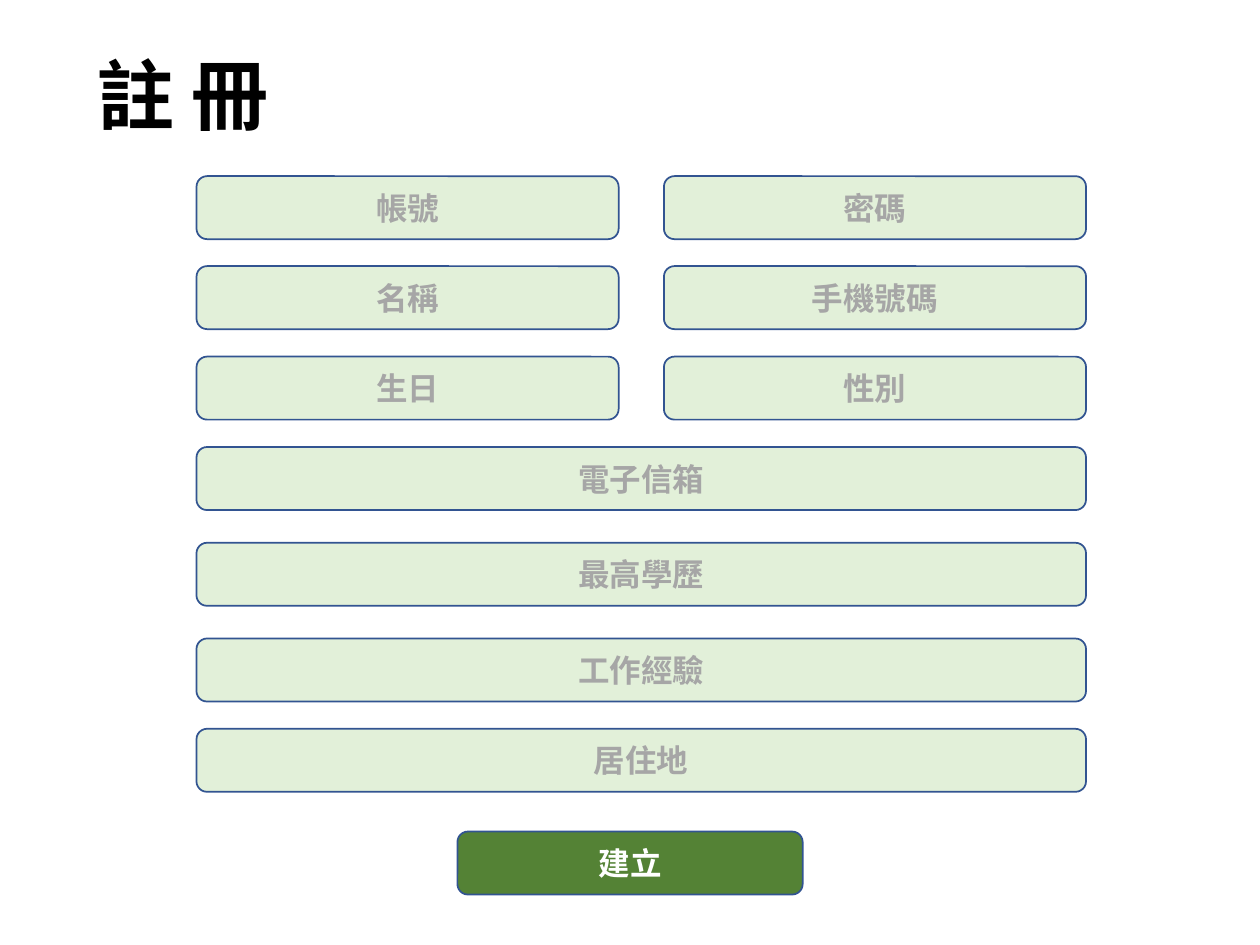
from dataclasses import dataclass

from lxml.etree import SubElement
from pptx import Presentation
from pptx.dml.color import RGBColor
from pptx.enum.shapes import MSO_SHAPE as Shape
from pptx.enum.text import MSO_ANCHOR as Anchor, MSO_AUTO_SIZE as AutoSize, PP_ALIGN as Align
from pptx.oxml.ns import qn
from pptx.slide import Slide
from pptx.text.text import TextFrame
from pptx.util import Pt


@dataclass(frozen=True)
class Theme:
    font: str = "Noto Sans CJK SC"
    title_size: float = 44
    body_size: float = 18
    white: str = "FFFFFF"
    black: str = "000000"
    field_fill: str = "E2F0D9"
    field_text: str = "A6A6A6"
    button_fill: str = "548235"
    outline: str = "325491"


@dataclass(frozen=True)
class Box:
    text: str
    left: float
    top: float
    width: float
    fill: str
    color: str
    height: float = 36


THEME = Theme()

# Form grid, in points
FORM_LEFT, FORM_WIDTH, COLUMN_WIDTH = 112.3, 508.3, 241.2
COLUMN_STEP = FORM_WIDTH - COLUMN_WIDTH
FORM_ROWS = [
    (100.7, ["帳號", "密碼"]),
    (152.1, ["名稱", "手機號碼"]),
    (203.8, ["生日", "性別"]),
    (255.5, ["電子信箱"]),
    (310.2, ["最高學歷"]),
    (364.9, ["工作經驗"]),
    (416.5, ["居住地"]),
]


def format_text(text_frame: TextFrame, size: float, color: str) -> None:
    """Centre the text and give its runs the theme font."""
    text_frame.word_wrap = True
    text_frame.auto_size = AutoSize.NONE
    text_frame.vertical_anchor = Anchor.MIDDLE
    for paragraph in text_frame.paragraphs:
        paragraph.alignment = Align.CENTER
        for run in paragraph.runs:
            run.font.name = THEME.font
            run.font.size = Pt(size)
            run.font.bold = True
            run.font.color.rgb = RGBColor.from_string(color)
            # Chinese characters use the East Asian typeface
            SubElement(run.font._element, qn("a:ea"), typeface=THEME.font)


def add_title(slide: Slide, text: str) -> None:
    title = slide.shapes.title
    title.left, title.top, title.width, title.height = Pt(12.2), Pt(14.4), Pt(185), Pt(78.5)
    title.fill.solid()
    title.fill.fore_color.rgb = RGBColor.from_string(THEME.white)
    title.text_frame.text = text
    format_text(title.text_frame, THEME.title_size, THEME.black)


def add_box(slide: Slide, box: Box) -> None:
    shape = slide.shapes.add_shape(
        Shape.ROUNDED_RECTANGLE, Pt(box.left), Pt(box.top), Pt(box.width), Pt(box.height)
    )
    shape.shadow.inherit = False
    shape.fill.solid()
    shape.fill.fore_color.rgb = RGBColor.from_string(box.fill)
    shape.line.color.rgb = RGBColor.from_string(THEME.outline)
    shape.line.width = Pt(1)
    shape.text_frame.text = box.text
    format_text(shape.text_frame, THEME.body_size, box.color)


def main() -> None:
    presentation = Presentation()
    presentation.slide_width, presentation.slide_height = Pt(720), Pt(540)
    slide = presentation.slides.add_slide(presentation.slide_layouts.get_by_name("Title Only"))
    add_title(slide, "註 冊")

    # Input fields: a lone field spans the whole form
    for top, labels in FORM_ROWS:
        width = FORM_WIDTH if len(labels) == 1 else COLUMN_WIDTH
        for column, label in enumerate(labels):
            left = FORM_LEFT + column * COLUMN_STEP
            add_box(slide, Box(label, left, top, width, THEME.field_fill, THEME.field_text))

    # Submit button
    add_box(slide, Box("建立", 261.4, 475.2, 197.3, THEME.button_fill, THEME.white))

    presentation.save("out.pptx")


if __name__ == "__main__":
    main()
